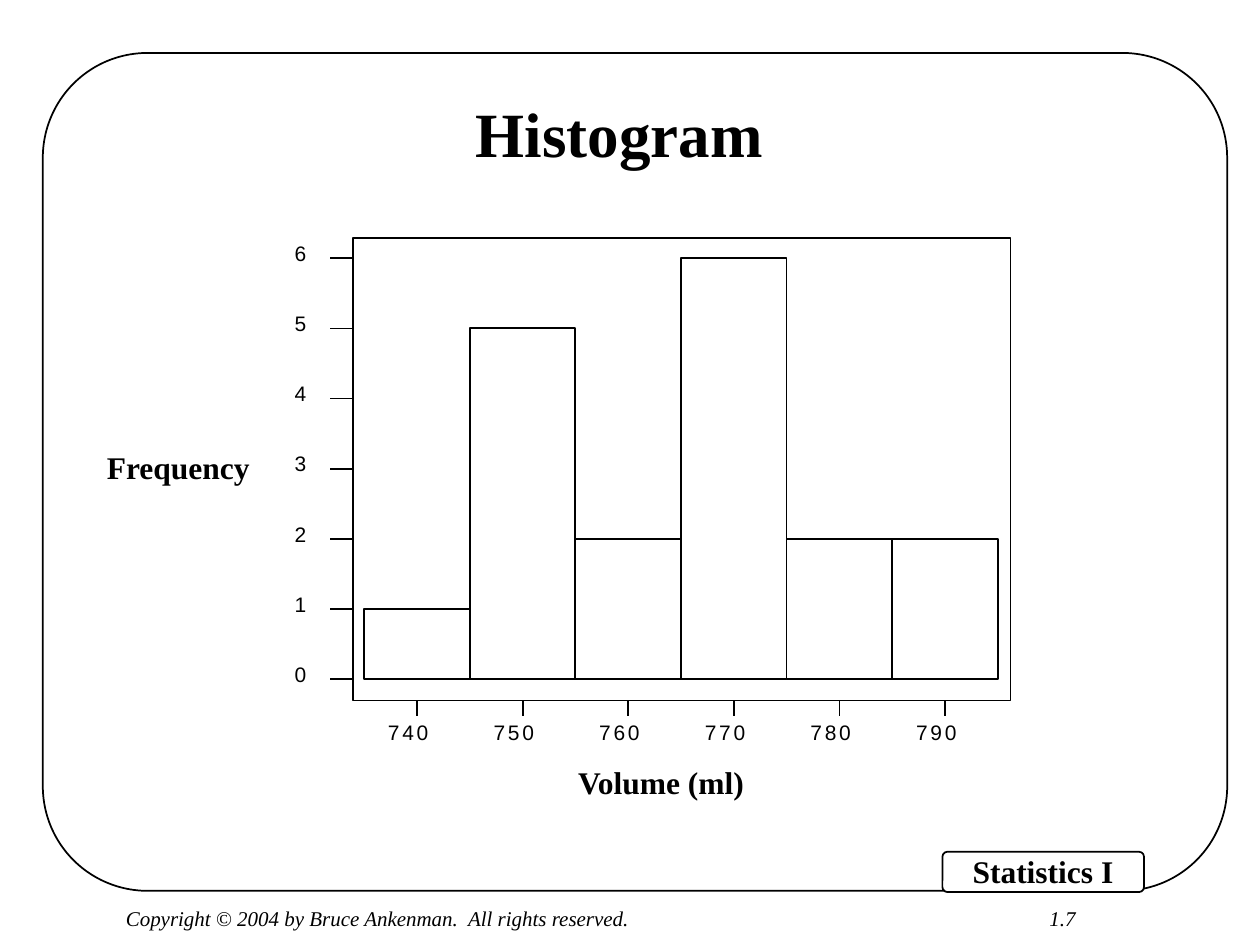
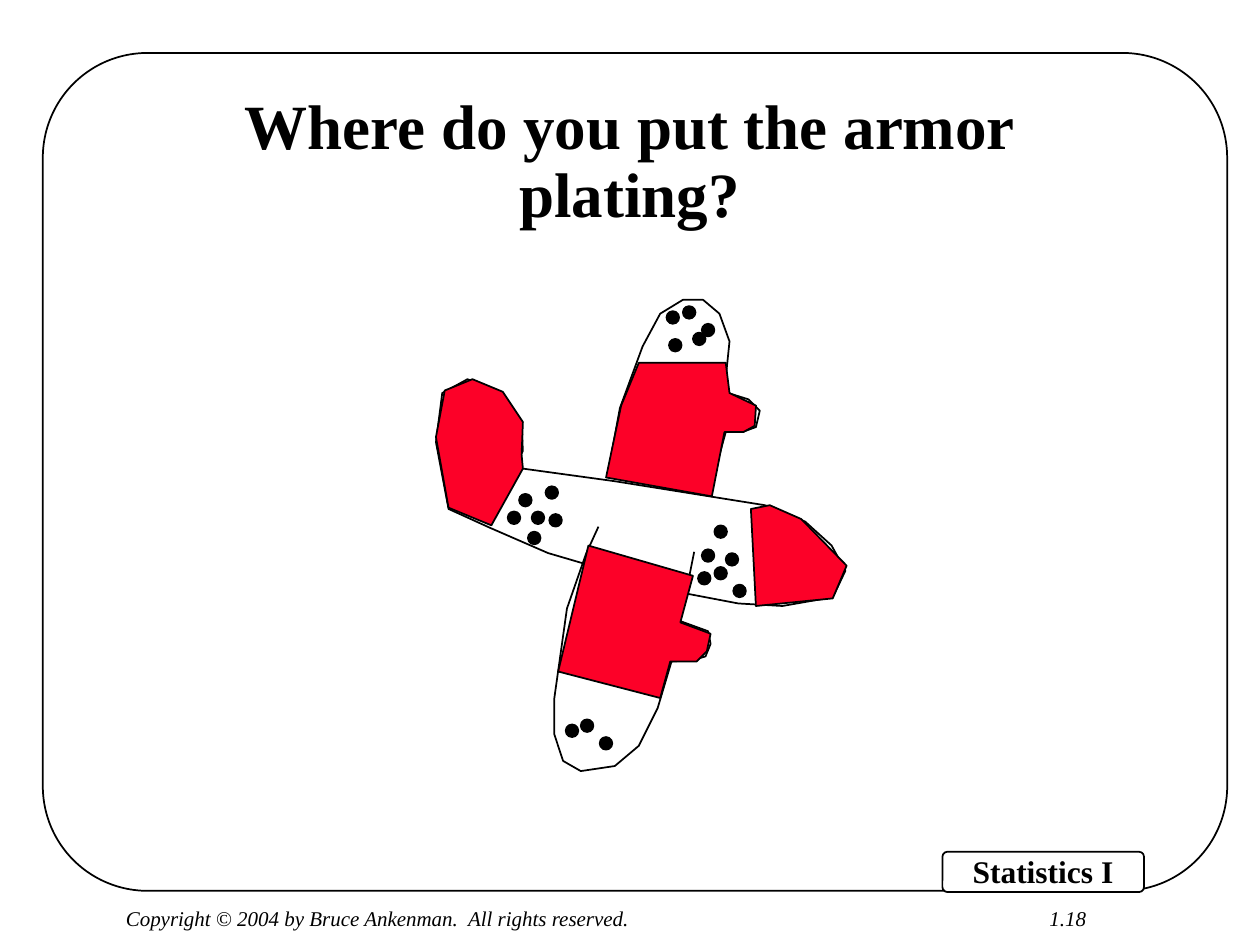
"""Builds two statistics slides: a bottle volume histogram and the armor plating puzzle."""
from lxml import etree
from pptx import Presentation
from pptx.chart.data import CategoryChartData
from pptx.dml.color import RGBColor
from pptx.enum.chart import XL_CHART_TYPE
from pptx.enum.shapes import MSO_CONNECTOR, MSO_SHAPE
from pptx.enum.text import MSO_ANCHOR, MSO_AUTO_SIZE, PP_ALIGN
from pptx.oxml import parse_xml
from pptx.oxml.ns import nsdecls, qn
from pptx.util import Inches, Pt

ROUNDED, RECTANGLE, OVAL = MSO_SHAPE.ROUNDED_RECTANGLE, MSO_SHAPE.RECTANGLE, MSO_SHAPE.OVAL
STRAIGHT = MSO_CONNECTOR.STRAIGHT
COLUMNS = XL_CHART_TYPE.COLUMN_CLUSTERED
CENTER = PP_ALIGN.CENTER
MIDDLE, BOTTOM = MSO_ANCHOR.MIDDLE, MSO_ANCHOR.BOTTOM
GROW, FIXED = MSO_AUTO_SIZE.SHAPE_TO_FIT_TEXT, MSO_AUTO_SIZE.NONE

BLACK, WHITE, RED = "000000", "FFFFFF", "FC0128"
SERIF, SANS = "Times New Roman", "Arial"

VOLUMES = {"740": 1, "750": 5, "760": 2, "770": 6, "780": 2, "790": 2}
PLOT_FRAME = (2.8, 1.89, 5.22, 3.67)
BARS = (2.89, 2.05, 5.03, 3.34)

FUSELAGE = [
    (3.56, 4.04), (3.46, 3.51), (3.51, 3.12), (3.71, 3.01), (3.96, 3.11), (4.14, 3.35),
    (4.15, 3.58), (4.08, 3.71), (4.88, 3.82), (6.07, 4.01), (6.39, 4.14), (6.6, 4.33),
    (6.71, 4.53), (6.61, 4.74), (6.21, 4.81), (5.86, 4.79), (5.44, 4.71), (4.35, 4.39),
    (3.89, 4.19)]
NEAR_WING = [
    (5.51, 4.38), (5.4, 4.93), (5.62, 5.01), (5.64, 5.11), (5.6, 5.21), (5.5, 5.24),
    (5.33, 5.25), (5.22, 5.62), (5.07, 5.92), (4.88, 6.08), (4.61, 6.12), (4.47, 6.04),
    (4.4, 5.83), (4.4, 5.54), (4.5, 4.83), (4.65, 4.4), (4.75, 4.18)]
FAR_WING = [
    (4.82, 3.78), (4.92, 3.24), (5.1, 2.75), (5.24, 2.49), (5.42, 2.38), (5.58, 2.38),
    (5.71, 2.49), (5.79, 2.71), (5.76, 3), (5.78, 3.12), (5.94, 3.17), (6.03, 3.26),
    (6, 3.39), (5.89, 3.43), (5.76, 3.43), (5.68, 3.72), (5.65, 3.92)]
BULLET_HOLES = [
    (4.03, 4.06), (4.19, 4.22), (4.36, 4.08), (4.33, 3.86), (4.22, 4.06), (4.12, 3.92),
    (5.54, 4.54), (5.82, 4.64), (5.76, 4.39), (5.67, 4.17), (5.67, 4.5), (5.57, 4.36),
    (4.49, 5.75), (4.76, 5.85), (4.61, 5.71),
    (5.29, 2.47), (5.57, 2.57), (5.42, 2.43), (5.5, 2.64), (5.31, 2.69)]
ARMOR = [
    [(5.24, 5.54), (4.43, 5.33), (4.67, 4.33), (5.5, 4.57), (5.4, 4.94), (5.64, 5.03),
     (5.61, 5.17), (5.53, 5.25), (5.32, 5.25)],
    [(4.15, 3.72), (3.9, 4.17), (3.56, 4.03), (3.46, 3.47), (3.53, 3.1), (3.75, 3.01),
     (3.99, 3.11), (4.15, 3.35), (4.14, 3.61)],
    [(5.07, 2.88), (5.76, 2.88), (5.79, 3.12), (6, 3.22), (5.99, 3.38), (5.9, 3.43),
     (5.75, 3.43), (5.65, 3.94), (4.81, 3.79), (4.93, 3.22)],
    [(5.96, 4.04), (6, 4.81), (6.61, 4.75), (6.72, 4.49), (6.36, 4.12), (6.11, 4.01)]]


def colour(value):
    return RGBColor.from_string(value)


def inches(values):
    return [Inches(value) for value in values]


class Deck:
    def __init__(self):
        self.prs = Presentation()
        self.prs.slide_width, self.prs.slide_height = Inches(10), Inches(7.5)
        self.slide = None

    def new_slide(self, title, box, anchor, number):
        self.slide = self.prs.slides.add_slide(self.prs.slide_layouts[5])
        self.shape(ROUNDED, (0.34, 0.42, 9.4, 6.65), WHITE).adjustments[0] = 0.125
        self.shape(ROUNDED, (7.48, 6.76, 1.6, 0.32), WHITE).adjustments[0] = 0.125
        self.text("Statistics I", (7.62, 6.71, 1.32, 0.4), bold=True)
        self.text("Copyright © 2004 by Bruce Ankenman.  All rights reserved.",
                  (0.9, 7.14, 4.22, 0.3), 12, italic=True)
        self.text(number, (8.23, 7.14, 0.52, 0.3), 12, italic=True)
        self.title(title, box, anchor)

    def title(self, words, box, anchor):
        heading = self.slide.shapes.title
        self.slide.shapes._spTree.append(heading._element)
        heading.left, heading.top, heading.width, heading.height = inches(box)
        frame = heading.text_frame
        frame.text = words
        frame.auto_size, frame.word_wrap = FIXED, True
        frame.vertical_anchor = anchor
        line = frame.paragraphs[0]
        line.alignment, line.line_spacing = CENTER, 0.9
        self.font(line.font, 36, SERIF, bold=True)

    def font(self, font, size, name, bold=False, italic=False):
        font.size, font.name, font.bold, font.italic = Pt(size), name, bold, italic
        font.color.rgb = colour(BLACK)

    def text(self, words, box, size=18, name=SERIF, bold=False, italic=False, spacing=0):
        frame = self.slide.shapes.add_textbox(*inches(box)).text_frame
        frame.text = words
        frame.word_wrap, frame.auto_size = False, GROW
        line = frame.paragraphs[0]
        self.font(line.font, size, name, bold, italic)
        if spacing:
            line.runs[0]._r.get_or_add_rPr().set("spc", str(spacing))

    def paint(self, target, fill):
        if hasattr(target, "shadow"):
            target.shadow.inherit = False
        if fill:
            target.fill.solid()
            target.fill.fore_color.rgb = colour(fill)
        else:
            target.fill.background()
        target.line.color.rgb = colour(BLACK)
        target.line.width = Pt(1)

    def shape(self, kind, box, fill=None):
        outline = self.slide.shapes.add_shape(kind, *inches(box))
        self.paint(outline, fill)
        return outline

    def polygon(self, points, fill=None, close=True):
        first, *rest = [inches(point) for point in points]
        builder = self.slide.shapes.build_freeform(*first)
        builder.add_line_segments(rest, close=close)
        self.paint(builder.convert_to_shape(), fill)

    def line(self, start, end):
        tick = self.slide.shapes.add_connector(STRAIGHT, *inches(start + end))
        tick.line.color.rgb = colour(BLACK)
        tick.line.width = Pt(1)
        etree.SubElement(tick._element.spPr, qn("a:effectLst"))

    def histogram(self, counts, frame, bars):
        data = CategoryChartData()
        data.categories = list(counts)
        data.add_series("Frequency", list(counts.values()))
        chart = self.slide.shapes.add_chart(COLUMNS, *inches(frame), data).chart
        chart.has_legend = chart.has_title = False
        self.font(chart.font, 12, SANS)
        scale = chart.value_axis
        scale.minimum_scale, scale.maximum_scale, scale.major_unit = 0, 6, 1
        scale.has_major_gridlines = False
        scale.visible = chart.category_axis.visible = False
        plot = chart.plots[0]
        plot.gap_width, plot.vary_by_categories = 0, False
        self.paint(plot.series[0].format, None)
        left, top, width, height = frame
        layout = {"x": (bars[0] - left) / width, "y": (bars[1] - top) / height,
                  "w": bars[2] / width, "h": bars[3] / height}
        area = chart._chartSpace.chart.plotArea
        for old in area.findall(qn("c:layout")):
            area.remove(old)
        sizes = "".join(f'<c:{key} val="{value:.4f}"/>' for key, value in layout.items())
        area.insert(0, parse_xml(
            f'<c:layout {nsdecls("c")}><c:manualLayout><c:layoutTarget val="inner"/>'
            f'<c:xMode val="edge"/><c:yMode val="edge"/>{sizes}</c:manualLayout></c:layout>'))


def histogram_slide(deck):
    deck.new_slide("Histogram", (1, 0.58, 7.83, 0.83), BOTTOM, "1.7")
    deck.histogram(VOLUMES, PLOT_FRAME, BARS)
    deck.shape(RECTANGLE, PLOT_FRAME)
    left, top, _, height = PLOT_FRAME
    base = top + height
    bar_width = BARS[2] / len(VOLUMES)
    for index, volume in enumerate(VOLUMES):
        x = 3.31 + index * bar_width
        deck.line((x, base), (x, base + 0.12))
        deck.text(volume, (x - 0.33, 5.66, 0.52, 0.3), 12, SANS, spacing=160)
    for count in range(7):
        y = BARS[1] + BARS[3] * (1 - count / 6)
        deck.line((left, y), (left - 0.18, y))
        deck.text(str(count), (2.24, y - 0.19, 0.29, 0.3), 12, SANS)
    deck.text("Frequency", (0.75, 3.51, 1.34, 0.4), bold=True)
    deck.text("Volume (ml)", (4.49, 6.01, 1.54, 0.4), bold=True)


def armor_slide(deck):
    deck.new_slide("Where do you put the armor plating?", (1.08, 0.67, 7.83, 1.25),
                   MIDDLE, "1.18")
    deck.polygon(FUSELAGE, WHITE)
    deck.polygon(NEAR_WING, WHITE, close=False)
    deck.polygon(FAR_WING, close=False)
    for x, y in BULLET_HOLES:
        deck.shape(OVAL, (x, y, 0.1, 0.1), BLACK)
    for plate in ARMOR:
        deck.polygon(plate, RED)


def main():
    deck = Deck()
    histogram_slide(deck)
    armor_slide(deck)
    deck.prs.save("out.pptx")


if __name__ == "__main__":
    main()
